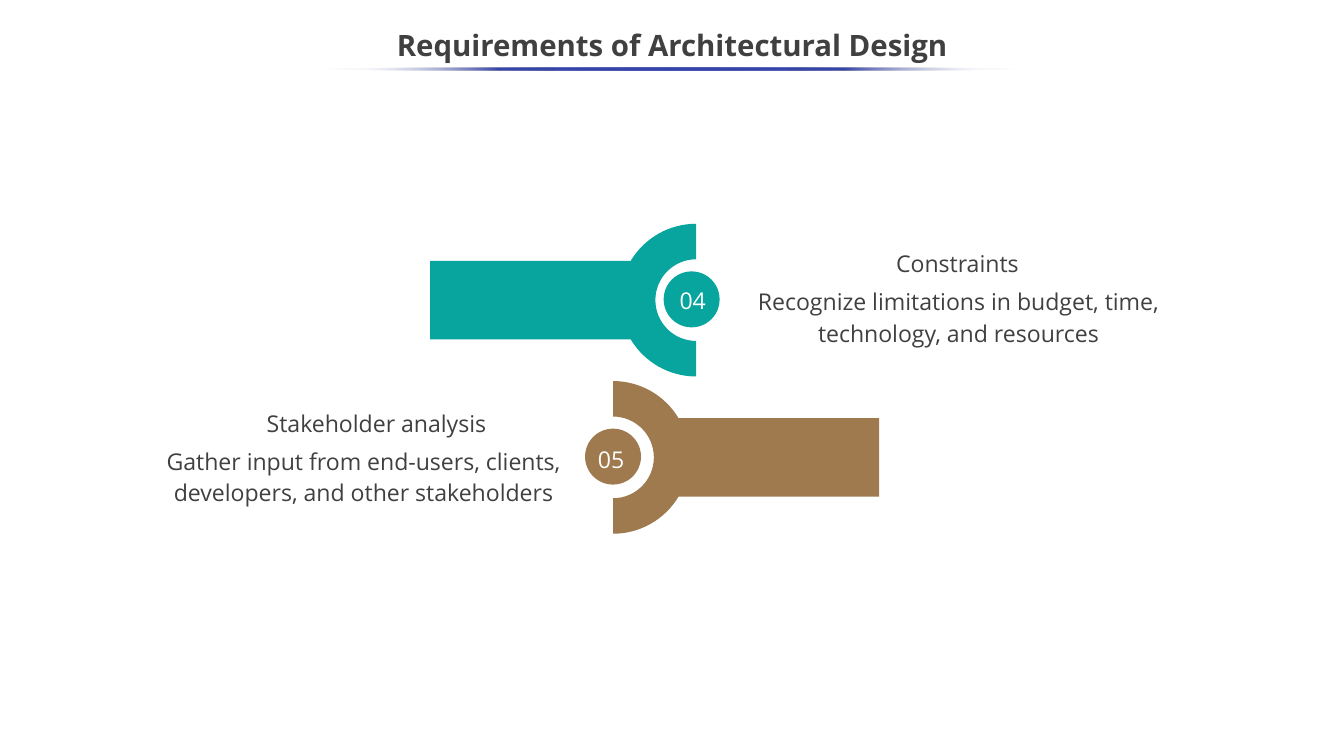
"""Build the architectural design requirements slide with two facing key shapes."""
from math import asin, cos, pi, sin, tan

from lxml.etree import SubElement
from pptx import Presentation
from pptx.dml.color import RGBColor
from pptx.enum.shapes import MSO_SHAPE
from pptx.enum.text import MSO_ANCHOR, PP_ALIGN
from pptx.oxml.ns import qn
from pptx.util import Inches, Pt

COLORS = {"teal": "07A59D", "brown": "9F7A4E", "ink": "404040", "white": "FFFFFF", "blue": "3645A9"}
FONT = "Open Sans"
TITLE = "Requirements of Architectural Design"
RULE_STOPS = [(0, "white", 0), (25, "blue", 100), (50, "blue", 100), (75, "blue", 100), (100, "white", 0)]
ITEMS = [
    {"number": "04", "color": "teal", "hub": (9.21, 3.97), "side": -1,
     "badge": (9.15, 3.96), "label": (8.83, 3.7, 0.67, 0.49),
     "heading": ("Constraints", (10.29, 3.21, 4.75, 0.49)),
     "body": ("Recognize limitations in budget, time, technology, and resources", (9.6, 3.68, 6.16, 0.97))},
    {"number": "05", "color": "brown", "hub": (8.11, 6.05), "side": 1,
     "badge": (8.11, 6.04), "label": (7.75, 5.8, 0.67, 0.49),
     "heading": ("Stakeholder analysis", (3.22, 5.33, 3.52, 0.49)),
     "body": ("Gather input from end-users, clients, developers, and other stakeholders", (2.01, 5.79, 5.6, 0.97))},
]
OUTER, INNER, ARM_LENGTH, ARM_HALF, BADGE = 1.01, 0.54, 3.52, 0.52, 0.74


def rgb(name):
    return RGBColor.from_string(COLORS[name])


def paint(shape, color):
    shape.shadow.inherit = False
    shape.fill.solid()
    shape.fill.fore_color.rgb = rgb(color)
    shape.line.fill.background()


def add_text(page, text, place, color="ink", size=22, bold=False, spacing=1.13,
             insets=(0, 0), anchor=MSO_ANCHOR.MIDDLE):
    frame = page.shapes.add_textbox(*map(Inches, place)).text_frame
    frame.word_wrap = True
    frame.vertical_anchor = anchor
    frame.margin_left = frame.margin_right = Inches(insets[0])
    frame.margin_top = frame.margin_bottom = Inches(insets[1])
    paragraph = frame.paragraphs[0]
    paragraph.alignment = PP_ALIGN.CENTER
    paragraph.line_spacing = spacing
    span = paragraph.add_run()
    span.text = text
    span.font.name = FONT
    span.font.size = Pt(size)
    span.font.bold = bold
    span.font.color.rgb = rgb(color)


def add_rule(page):
    rule = page.shapes.add_shape(MSO_SHAPE.OVAL, *map(Inches, (4.33, 0.89, 9.11, 0.04)))
    paint(rule, "blue")
    rule.fill.gradient()
    rule.fill.gradient_angle = 180
    stops = rule.fill._fill._gradFill.find(qn("a:gsLst"))
    for stop in list(stops):
        stops.remove(stop)
    for position, color, opacity in RULE_STOPS:
        stop = SubElement(stops, qn("a:gs"), pos=str(position * 1000))
        tint = SubElement(stop, qn("a:srgbClr"), val=COLORS[color])
        SubElement(tint, qn("a:alpha"), val=str(opacity * 1000))


def curve(radius, start, end):
    """Return the two control points and the end point of a circular arc."""
    reach = 4 / 3 * tan((end - start) / 4)
    return [(radius * (cos(start) - reach * sin(start)), radius * (sin(start) + reach * cos(start))),
            (radius * (cos(end) + reach * sin(end)), radius * (sin(end) - reach * cos(end))),
            (radius * cos(end), radius * sin(end))]


def add_key(page, hub, side, color):
    joint = asin(ARM_HALF / OUTER)
    arm_start = (OUTER * cos(joint), ARM_HALF)
    segments = [
        curve(OUTER, -pi / 2, -joint),
        [(ARM_LENGTH, -ARM_HALF)], [(ARM_LENGTH, ARM_HALF)], [arm_start],
        curve(OUTER, joint, pi / 2),
        [(0, INNER)],
        curve(INNER, pi / 2, 0), curve(INNER, 0, -pi / 2),
    ]

    def locate(point):
        return Inches(hub[0] + side * point[0]), Inches(hub[1] + point[1])

    builder = page.shapes.build_freeform(*locate((0, -OUTER)))
    builder.add_line_segments([locate(point) for segment in segments for point in segment], close=True)
    key = builder.convert_to_shape()
    lines = iter(list(key._element.iter(qn("a:lnTo"))))
    for segment in segments:
        group = [next(lines) for _ in segment]
        if len(group) == 3:
            group[0].tag = qn("a:cubicBezTo")
            for line in group[1:]:
                group[0].append(line[0])
                line.getparent().remove(line)
    paint(key, color)


def add_item(page, item):
    add_key(page, item["hub"], item["side"], item["color"])
    left, top = (Inches(center - BADGE / 2) for center in item["badge"])
    badge = page.shapes.add_shape(MSO_SHAPE.OVAL, left, top, Inches(BADGE), Inches(BADGE))
    paint(badge, item["color"])
    add_text(page, item["number"], item["label"], color="white")
    add_text(page, *item["heading"])
    add_text(page, *item["body"], insets=(0.16, 0.08), anchor=MSO_ANCHOR.TOP)


def main():
    deck = Presentation()
    deck.slide_width, deck.slide_height = Inches(17.78), Inches(10)
    page = deck.slides.add_slide(deck.slide_layouts[6])
    add_text(page, TITLE, (0, 0.25, 17.78, 0.75), size=28, bold=True, spacing=0.9, insets=(0.1, 0.05))
    add_rule(page)
    for item in ITEMS:
        add_item(page, item)
    deck.save("out.pptx")


if __name__ == "__main__":
    main()
